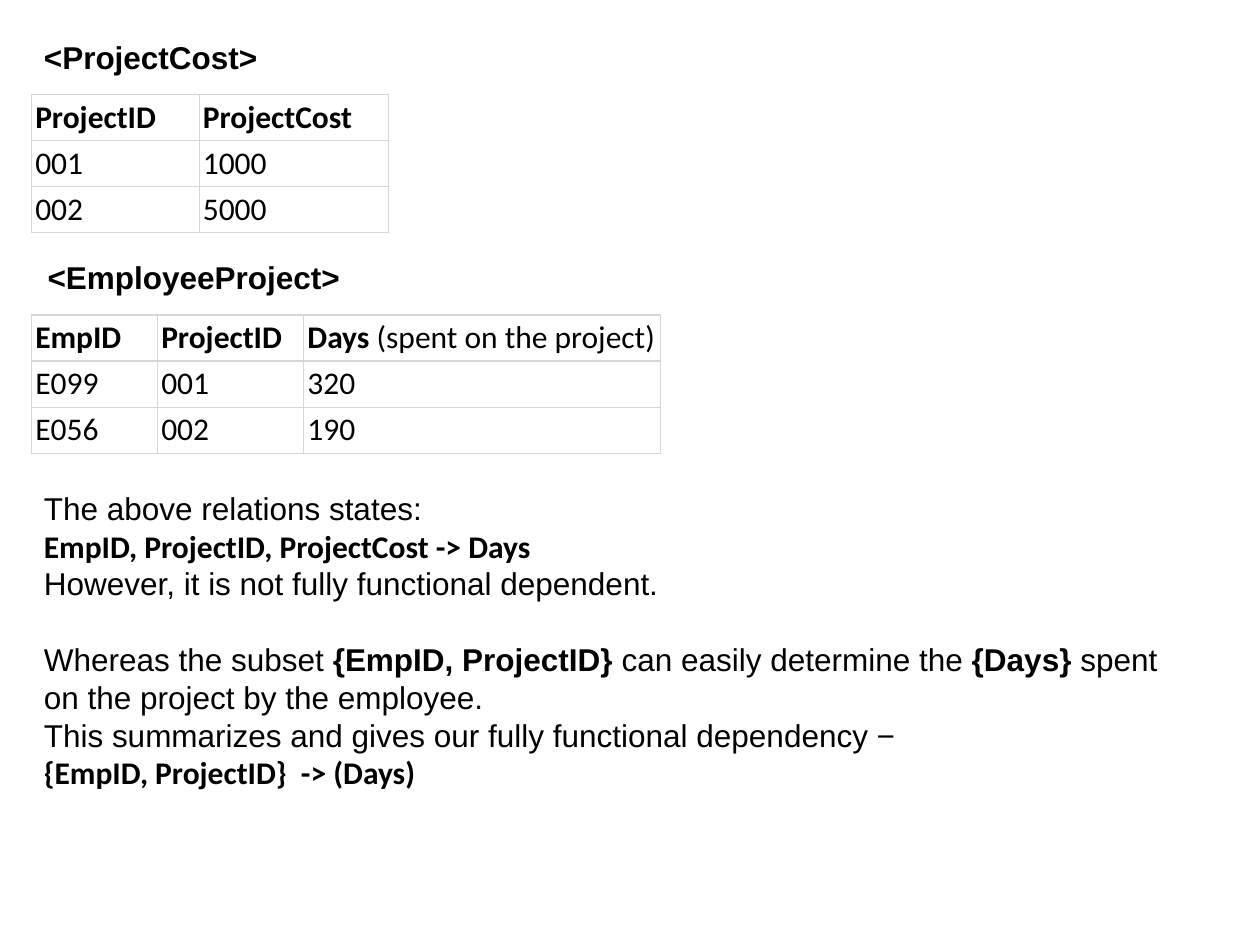
import lxml.etree
import pptx
import pptx.dml.color
import pptx.enum.text
import pptx.oxml.ns
import pptx.util
from pptx.util import Inches

COLORS = {"text": "000000", "border": "D6D6D6", "background": "FFFFFF"}
HEADING_FONT = "Arial"
TABLE_FONT = "Calibri"


def color(name):
    return pptx.dml.color.RGBColor.from_string(COLORS[name])


def write_text(paragraph, text, font=HEADING_FONT, bold=False, size=18):
    run = paragraph.add_run()
    run.text = text
    run.font.name = font
    run.font.size = pptx.util.Pt(size)
    run.font.bold = bold
    run.font.color.rgb = color("text")


def add_borders(cell, width=0.75):
    properties = cell._tc.get_or_add_tcPr()
    qualified = pptx.oxml.ns.qn
    for index, side in enumerate(("a:lnL", "a:lnR", "a:lnT", "a:lnB")):
        line = lxml.etree.Element(qualified(side), w=str(pptx.util.Pt(width)))
        fill = lxml.etree.SubElement(line, qualified("a:solidFill"))
        lxml.etree.SubElement(fill, qualified("a:srgbClr"), val=COLORS["border"])
        properties.insert(index, line)


class SlideBuilder:
    """Holds the current slide and the style shared by its elements."""

    row_height = Inches(0.36)
    cell_margin = Inches(0.03)

    def __init__(self, presentation):
        self.slide = presentation.slides.add_slide(presentation.slide_layouts[6])
        self.slide.background.fill.solid()
        self.slide.background.fill.fore_color.rgb = color("background")

    def text_box(self, left, top, width, height, paragraphs, wrap=True):
        """Each paragraph is (space before in points, [(text, format), ...])."""
        shape = self.slide.shapes.add_textbox(
            Inches(left), Inches(top), Inches(width), Inches(height))
        frame = shape.text_frame
        frame.word_wrap = wrap
        frame.auto_size = pptx.enum.text.MSO_AUTO_SIZE.SHAPE_TO_FIT_TEXT
        for index, (space_before, runs) in enumerate(paragraphs):
            paragraph = frame.add_paragraph() if index else frame.paragraphs[0]
            if space_before:
                paragraph.space_before = pptx.util.Pt(space_before)
            for text, style in runs:
                write_text(paragraph, text, **style)

    def heading(self, left, top, width, text):
        self.text_box(left, top, width, 0.4, [(0, [(text, {"bold": True})])], wrap=False)

    def table(self, left, top, column_widths, rows):
        """A header cell may be (bold text, plain text)."""
        shape = self.slide.shapes.add_table(
            len(rows), len(column_widths), Inches(left), Inches(top),
            Inches(sum(column_widths)), self.row_height * len(rows))
        table = shape.table
        table.first_row = table.horz_banding = False
        for column, width in zip(table.columns, column_widths):
            column.width = Inches(width)
        for row_index, values in enumerate(rows):
            table.rows[row_index].height = self.row_height
            for column_index, value in enumerate(values):
                cell = table.cell(row_index, column_index)
                self.fill_cell(cell, value, row_index == 0)

    def fill_cell(self, cell, value, header):
        cell.margin_left = cell.margin_right = self.cell_margin
        cell.margin_top = cell.margin_bottom = self.cell_margin
        cell.fill.background()
        add_borders(cell)
        parts = (value,) if isinstance(value, str) else value
        for index, text in enumerate(parts):
            write_text(cell.text_frame.paragraphs[0], text,
                       font=TABLE_FONT, bold=header and index == 0)


def main():
    presentation = pptx.Presentation()
    presentation.slide_width = Inches(10)
    presentation.slide_height = Inches(7.5)
    builder = SlideBuilder(presentation)

    builder.table(0.25, 0.75, [1.33, 1.5], [
        ["ProjectID", "ProjectCost"],
        ["001", "1000"],
        ["002", "5000"],
    ])
    builder.table(0.25, 2.5, [1, 1.16, 2.83], [
        ["EmpID", "ProjectID", ("Days ", "(spent on the project)")],
        ["E099", "001", "320"],
        ["E056", "002", "190"],
    ])
    builder.heading(0.25, 0.25, 1.91, "<ProjectCost>")
    builder.heading(0.28, 2, 2.54, "<EmployeeProject>")

    plain = {}
    bold = {"bold": True}
    formula = {"font": TABLE_FONT, "bold": True}
    builder.text_box(0.25, 3.83, 9.34, 2.83, [
        (0, [("The above relations states:", plain)]),
        (0, [("EmpID, ProjectID, ProjectCost -> Days", formula)]),
        (0, [("However, it is not fully functional dependent.", plain)]),
        (21.6, [
            ("Whereas the subset ", plain),
            ("{EmpID, ProjectID}", bold),
            (" can easily determine the", plain),
            (" {Days}", bold),
            (" spent on the project by the employee.", plain),
        ]),
        (0, [("This summarizes and gives our fully functional dependency −", plain)]),
        (0, [("{EmpID, ProjectID}  -> (Days)", formula)]),
    ])
    presentation.save("out.pptx")


if __name__ == "__main__":
    main()
